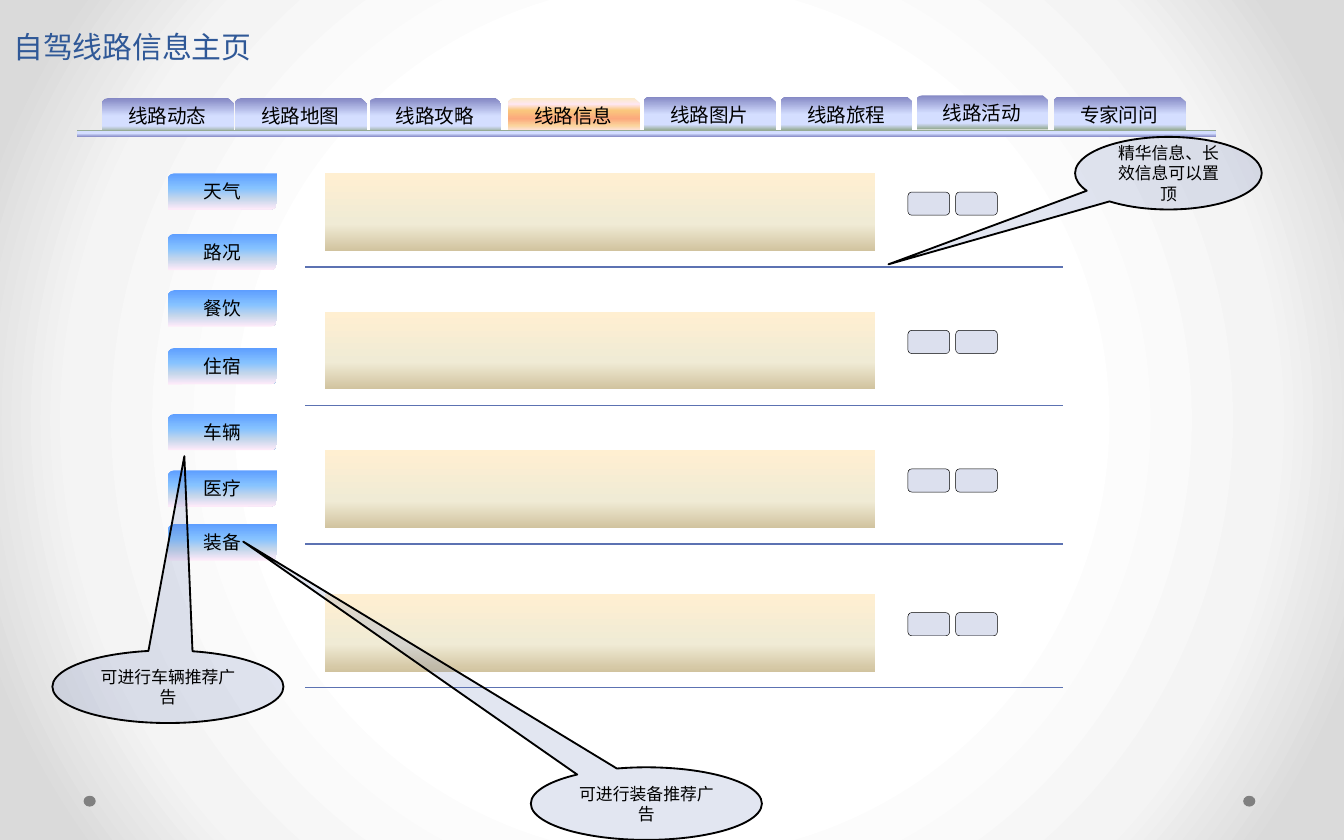
from lxml import etree
from pptx import Presentation
from pptx.dml.color import RGBColor
from pptx.enum import shapes, text
from pptx.oxml import ns
from pptx.util import Pt

FONT = "TeX Gyre Pagella"
COLOURS = {
    "title": "2F5897", "ink": "000000", "rule": "5C72B2",
    "tint": "6076B4", "dot": "808080",
}
FADES = {
    "page": [(50, "FFFFFF"), (76, "F4F4F4"), (92, "DADADA")],
    "tab": [(0, "8488C4"), (53, "D4DEFF"), (83, "D4DEFF"), (100, "96AB94")],
    "active": [(0, "FBEAC7"), (18, "FEE7F2"), (36, "FAC77D"),
               (61, "FBA97D"), (82, "FBD49C"), (100, "FEE7F2")],
    "menu": [(0, "5E9EFF"), (40, "85C2FF"), (70, "C4D6EB"), (100, "FFEBFA")],
    "panel": [(0, "FFEFD1"), (65, "F0EBD5"), (100, "D1C39F")],
}
TABS = [
    ("线路动态", 54.7, 52.6), ("线路地图", 126, 52.6),
    ("线路攻略", 198, 52.6), ("线路信息", 272.2, 52.6),
    ("线路图片", 344.9, 51.8), ("线路旅程", 418.3, 51.8),
    ("线路活动", 491, 51.1), ("专家问问", 564.5, 51.8),
]
MENU = [
    ("天气", 92.9), ("路况", 125.3), ("餐饮", 155.5), ("住宿", 186.5),
    ("车辆", 221.8), ("医疗", 252), ("装备", 280.8),
]
ROWS = [92.9, 167, 241.2, 318.2]
NOTES = [
    ("精华信息、长效信息可以置顶", (576, 73.4, 100, 38.9), (-1.5, 1.255)),
    ("可进行车辆推荐广告", (28.1, 348.5, 123.8, 38.9), (0.071, -3.177)),
    ("可进行装备推荐广告", (284.4, 411.1, 123.8, 38.9), (-1.745, -3.61)),
]


def rgb(name):
    return RGBColor.from_string(COLOURS[name])


def child(parent, tag, **attrs):
    node = etree.SubElement(parent, ns.qn(tag))
    for key, value in attrs.items():
        node.set(key, str(value))
    return node


def fade(fill, holder, name, round_fade=False):
    """Give a fill its colour stops, running downward or from the centre."""
    fill.gradient()
    grad = holder.find(".//" + ns.qn("a:gradFill"))
    for node in list(grad):
        grad.remove(node)
    stops = child(grad, "a:gsLst")
    for place, colour in FADES[name]:
        stop = child(stops, "a:gs", pos=place * 1000)
        child(stop, "a:srgbClr", val=colour)
    if round_fade:
        way = child(grad, "a:path", path="circle")
        child(way, "a:fillToRect", l=50000, t=50000, r=50000, b=50000)
    else:
        child(grad, "a:lin", ang=90 * 60000, scaled=0)


def block(board, kind, box, fill, alpha=None, line=None):
    """Add a shape filled with a named fade or a named colour."""
    shape = board.add_shape(kind, *(Pt(n) for n in box))
    shape.shadow.inherit = False
    if fill in FADES:
        fade(shape.fill, shape.element.spPr, fill)
    else:
        shape.fill.solid()
        shape.fill.fore_color.rgb = rgb(fill)
    if alpha:
        colour = shape.element.spPr.find(".//" + ns.qn("a:srgbClr"))
        child(colour, "a:alpha", val=alpha * 1000)
    if line:
        shape.line.color.rgb = rgb("ink")
        shape.line.width = Pt(line)
    else:
        shape.line.fill.background()
    return shape


def style(run, size, colour):
    run.font.name = FONT
    run.font.size = Pt(size)
    run.font.color.rgb = rgb(colour)


def label(shape, words, size):
    frame = shape.text_frame
    frame.text = words
    frame.word_wrap = True
    frame.vertical_anchor = text.MSO_ANCHOR.MIDDLE
    para = frame.paragraphs[0]
    para.alignment = text.PP_ALIGN.CENTER
    style(para.runs[0], size, "ink")


def rule(board, left, right, top):
    line = board.add_connector(shapes.MSO_CONNECTOR.STRAIGHT,
                               Pt(left), Pt(top), Pt(right), Pt(top))
    line.line.color.rgb = rgb("rule")
    line.line.width = Pt(0.75)
    child(line.element.spPr, "a:effectLst")


def head(slide):
    title = slide.shapes.title
    title.left, title.top, title.width, title.height = (
        Pt(0), Pt(0), Pt(305.3), Pt(38.2))
    frame = title.text_frame
    frame.text = "自驾线路信息主页"
    frame.auto_size = text.MSO_AUTO_SIZE.NONE
    frame.vertical_anchor = text.MSO_ANCHOR.BOTTOM
    para = frame.paragraphs[0]
    para.alignment = text.PP_ALIGN.LEFT
    para.line_spacing = Pt(58)
    style(para.runs[0], 16, "title")


def tab_bar(board):
    kind = shapes.MSO_SHAPE.SNIP_ROUND_RECTANGLE
    for words, left, top in TABS:
        fill = "active" if words == "线路信息" else "tab"
        label(block(board, kind, (left, top, 70.6, 18), fill), words, 10.5)
    bar = block(board, shapes.MSO_SHAPE.RECTANGLE,
                (41.5, 69.8, 609.8, 3.6), "tab")
    bar.element.spPr.xfrm.set("flipV", "1")


def side_menu(board):
    kind = shapes.MSO_SHAPE.ROUND_2_DIAG_RECTANGLE
    for words, top in MENU:
        label(block(board, kind, (90, top, 58.3, 19.4), "menu"), words, 10)


def row(board, top):
    """Add one entry: its panel, two buttons and the rule below."""
    rule(board, 163.6, 569.5, top + 50.2)
    block(board, shapes.MSO_SHAPE.RECTANGLE, (174.2, top, 294.5, 41.6), "panel")
    for left in (486.4, 512):
        block(board, shapes.MSO_SHAPE.ROUNDED_RECTANGLE,
              (left, top + 10, 22.3, 12.4), "tint", alpha=22, line=0.25)


def note(board, words, box, tip):
    shape = block(board, shapes.MSO_SHAPE.OVAL_CALLOUT, box, "tint",
                  alpha=18, line=1)
    shape.adjustments[0], shape.adjustments[1] = tip
    label(shape, words, 9)


def main():
    deck = Presentation()
    deck.slide_width, deck.slide_height = Pt(720), Pt(450)
    slide = deck.slides.add_slide(deck.slide_layouts[5])
    fade(slide.background.fill, slide.element, "page", round_fade=True)
    board = slide.shapes
    for left in (666, 44.8):
        block(board, shapes.MSO_SHAPE.OVAL, (left, 426.3, 6.5, 5.8), "dot")
    head(slide)
    tab_bar(board.add_group_shape().shapes)
    side_menu(board)
    for top in ROWS:
        row(board.add_group_shape().shapes, top)
    for words, box, tip in NOTES:
        note(board, words, box, tip)
    deck.save("out.pptx")


if __name__ == "__main__":
    main()
